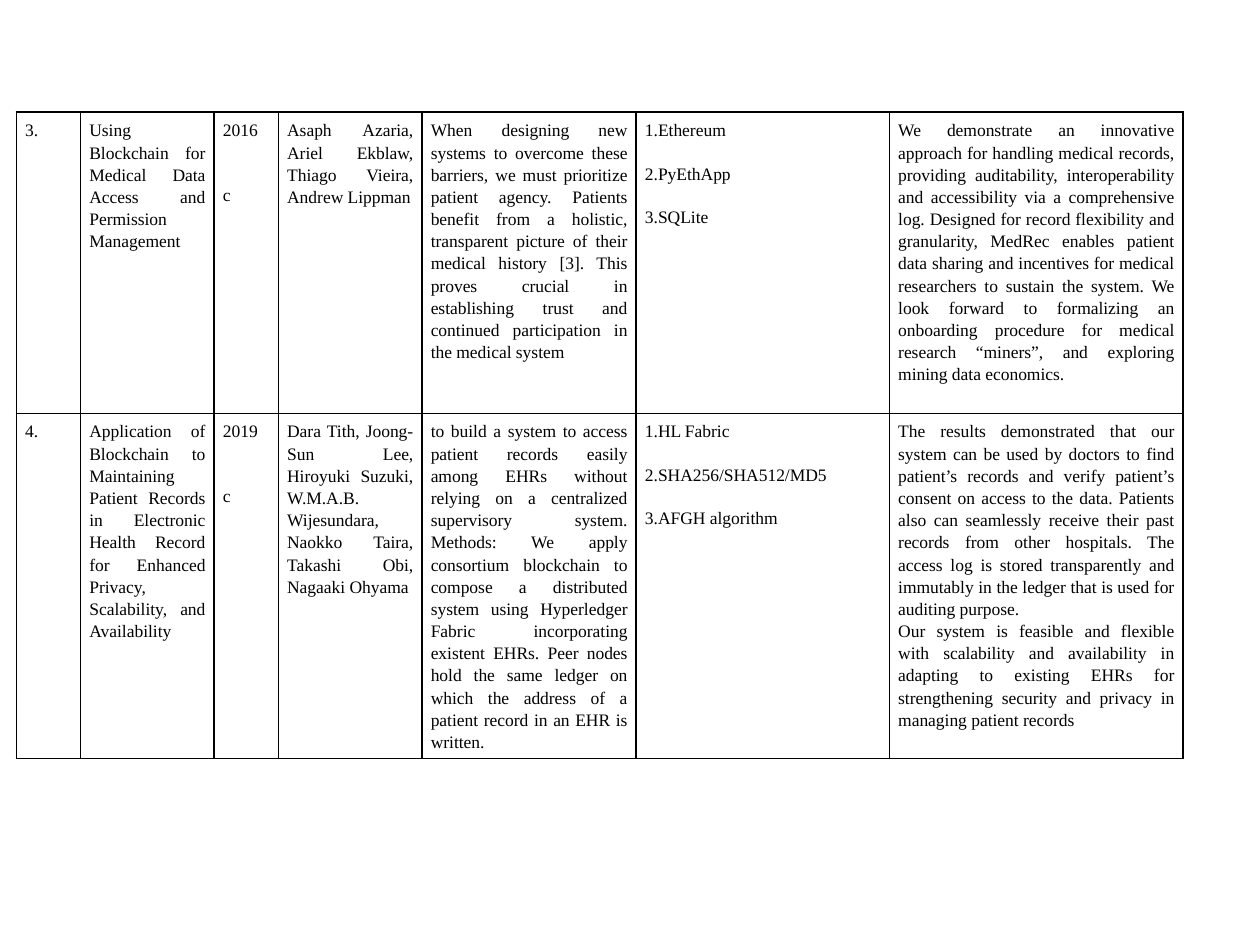
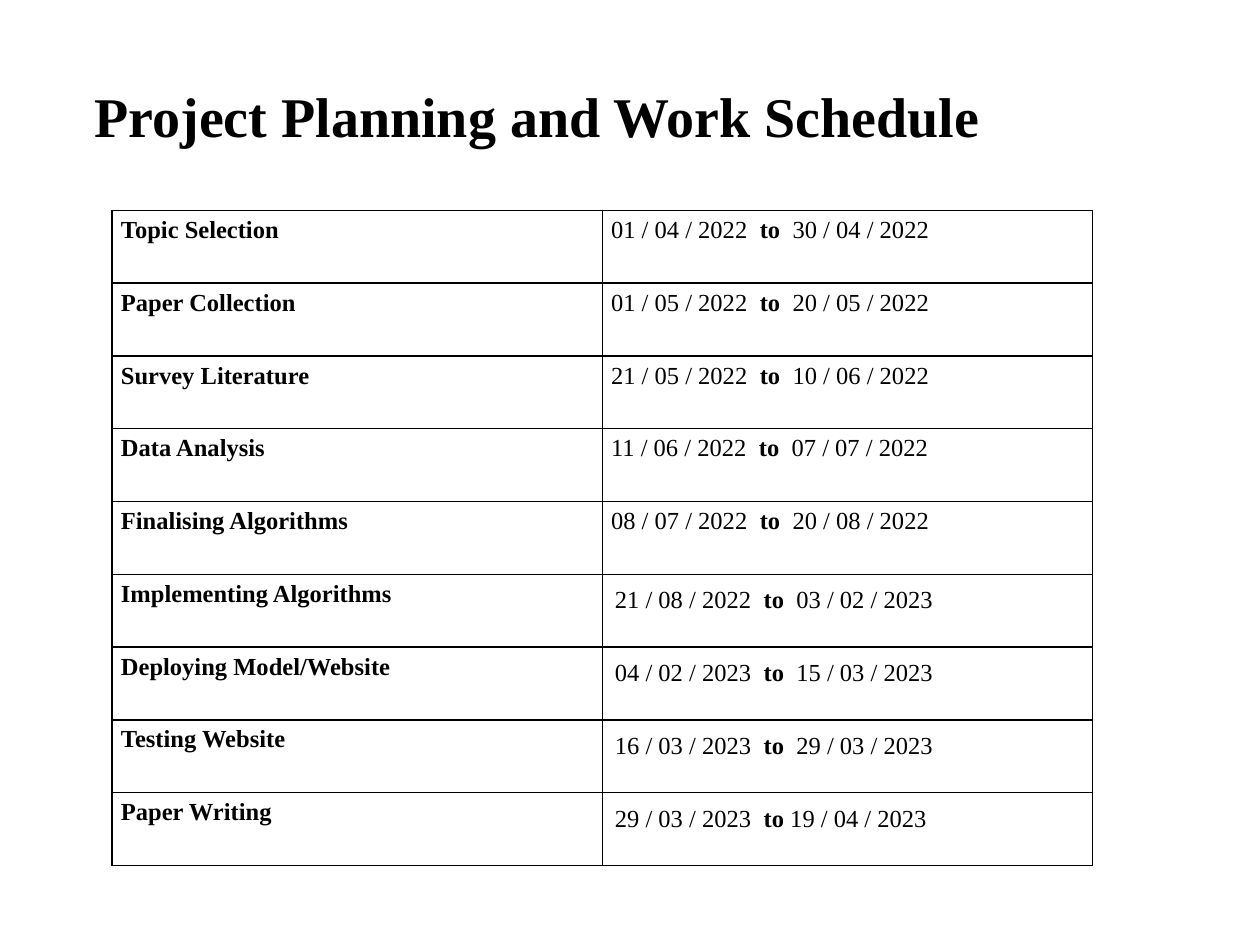
from pptx import Presentation
from pptx.dml.color import RGBColor
from pptx.enum.text import MSO_ANCHOR, PP_ALIGN
from pptx.oxml import parse_xml
from pptx.oxml.ns import nsdecls
from pptx.util import Inches, Pt

FONT = "Times New Roman"
INK = "000000"
PAPER = "FFFFFF"
BORDER_WIDTH = Pt(0.96)
CELL_INSETS = (0.07, 0.05)
WIDE_INSETS = (0.1, 0.1)

SURVEY_BOX = (0.13, 0.89, 9.26, 4.85)
SURVEY_COLUMNS = [0.51, 1.06, 0.51, 1.14, 1.7, 2.01, 2.33]
SURVEY_ROWS = [2.39, 2.46]
SURVEY = [
    [
        ["3."],
        ["Using Blockchain for Medical Data Access and Permission Management"],
        ["2016", "c"],
        ["Asaph Azaria, Ariel Ekblaw, Thiago Vieira, Andrew Lippman"],
        ["When designing new systems to overcome these barriers, we must prioritize "
         "patient agency. Patients benefit from a holistic, transparent picture of "
         "their medical history [3]. This proves crucial in establishing trust and "
         "continued participation in the medical system"],
        ["1.Ethereum", "2.PyEthApp", "3.SQLite"],
        ["We demonstrate an innovative approach for handling medical records, "
         "providing auditability, interoperability and accessibility via a "
         "comprehensive log. Designed for record flexibility and granularity, MedRec "
         "enables patient data sharing and incentives for medical researchers to "
         "sustain the system. We look forward to formalizing an onboarding procedure "
         "for medical research “miners”, and exploring mining data economics."],
    ],
    [
        ["4."],
        ["Application of Blockchain to Maintaining Patient Records in Electronic "
         "Health Record for Enhanced Privacy, Scalability, and Availability"],
        ["2019", "c"],
        ["Dara Tith, Joong-Sun Lee, Hiroyuki Suzuki, W.M.A.B. Wijesundara, "
         "Naokko Taira, Takashi Obi, Nagaaki Ohyama"],
        ["to build a system to access patient records easily among EHRs without "
         "relying on a centralized supervisory system. Methods: We apply consortium "
         "blockchain to compose a distributed system using Hyperledger Fabric "
         "incorporating existent EHRs. Peer nodes hold the same ledger on which the "
         "address of a patient record in an EHR is written."],
        ["1.HL Fabric", "2.SHA256/SHA512/MD5", "3.AFGH algorithm"],
        ["The results demonstrated that our system can be used by doctors to find "
         "patient’s records and verify patient’s consent on access to the data. "
         "Patients also can seamlessly receive their past records from other "
         "hospitals. The access log is stored transparently and immutably in the "
         "ledger that is used for auditing purpose.",
         "Our system is feasible and flexible with scalability and availability in "
         "adapting to existing EHRs for strengthening security and privacy in "
         "managing patient records"],
    ],
]
PARAGRAPH_GAPS = {2: 24, 5: 12}

TITLE_BOX = (0.75, 0.29, 9, 1.25)
SCHEDULE_BOX = (0.89, 1.67, 7.78, 5.2)
SCHEDULE = [
    ("Topic Selection", "01 / 04 / 2022", "  30 / 04 / 2022", CELL_INSETS),
    ("Paper Collection", "01 / 05 / 2022", "  20 / 05 / 2022", CELL_INSETS),
    ("Survey Literature", "21 / 05 / 2022", "  10 / 06 / 2022", CELL_INSETS),
    ("Data Analysis", "11 / 06 / 2022", "  07 / 07 / 2022", CELL_INSETS),
    ("Finalising Algorithms", "08 / 07 / 2022", "  20 / 08 / 2022", CELL_INSETS),
    ("Implementing Algorithms", "21 / 08 / 2022", "  03 / 02 / 2023", WIDE_INSETS),
    ("Deploying Model/Website", "04 / 02 / 2023", "  15 / 03 / 2023", WIDE_INSETS),
    ("Testing Website", "16 / 03 / 2023", "  29 / 03 / 2023", WIDE_INSETS),
    ("Paper Writing", "29 / 03 / 2023", " 19 / 04 / 2023", WIDE_INSETS),
]


def color(value):
    return RGBColor.from_string(value)


def style_span(span, size, bold=False):
    span.font.name = FONT
    span.font.size = Pt(size)
    span.font.bold = bold
    span.font.color.rgb = color(INK)


def add_span(para, text, size, bold=False):
    span = para.add_run()
    span.text = text
    style_span(span, size, bold)


def style_cell(cell, insets=CELL_INSETS):
    side, end = (Inches(inset) for inset in insets)
    cell.margin_left = cell.margin_right = side
    cell.margin_top = cell.margin_bottom = end
    cell.fill.solid()
    cell.fill.fore_color.rgb = color(PAPER)
    properties = cell._tc.get_or_add_tcPr()
    for position, edge in enumerate(("lnL", "lnR", "lnT", "lnB")):
        properties.insert(position, parse_xml(
            f'<a:{edge} {nsdecls("a")} w="{BORDER_WIDTH}"><a:solidFill>'
            f'<a:srgbClr val="{INK}"/></a:solidFill></a:{edge}>'))


def add_grid(page, box, columns, rows):
    frame = page.shapes.add_table(len(rows), len(columns), *map(Inches, box))
    table = frame.table
    table.first_row = False
    table.horz_banding = False
    for column, width in zip(table.columns, columns):
        column.width = Inches(width)
    for row, height in zip(table.rows, rows):
        row.height = Inches(height)
    return table


def add_survey(page, box):
    table = add_grid(page, box, SURVEY_COLUMNS, SURVEY_ROWS)
    for row, entries in enumerate(SURVEY):
        for column, lines in enumerate(entries):
            cell = table.cell(row, column)
            style_cell(cell)
            cell.text_frame.text = "\n".join(lines)
            for index, para in enumerate(cell.text_frame.paragraphs):
                para.alignment = PP_ALIGN.JUSTIFY
                para.line_spacing = 1.15
                if index and column in PARAGRAPH_GAPS:
                    para.space_before = Pt(PARAGRAPH_GAPS[column])
                style_span(para.runs[0], 10)


def add_title(page, box, text):
    frame = page.shapes.add_textbox(*map(Inches, box)).text_frame
    frame.word_wrap = True
    frame.vertical_anchor = MSO_ANCHOR.MIDDLE
    frame.margin_left = frame.margin_right = 0
    frame.margin_top = frame.margin_bottom = 0
    add_span(frame.paragraphs[0], text, 32, bold=True)


def add_schedule(page, box):
    width, height = box[2:]
    row_count = len(SCHEDULE)
    table = add_grid(page, box, [width / 2] * 2, [height / row_count] * row_count)
    for row, (task, start, finish, insets) in enumerate(SCHEDULE):
        task_cell, date_cell = table.cell(row, 0), table.cell(row, 1)
        style_cell(task_cell)
        style_cell(date_cell, insets)
        add_span(task_cell.text_frame.paragraphs[0], task, 14, bold=True)
        dates = date_cell.text_frame.paragraphs[0]
        add_span(dates, start + "  ", 14)
        add_span(dates, "to", 14, bold=True)
        add_span(dates, finish, 14)


def main():
    deck = Presentation()
    deck.slide_width = Inches(10)
    deck.slide_height = Inches(7.5)
    blank = deck.slide_layouts[6]
    add_survey(deck.slides.add_slide(blank), SURVEY_BOX)
    schedule_page = deck.slides.add_slide(blank)
    add_title(schedule_page, TITLE_BOX, "Project Planning and Work Schedule")
    add_schedule(schedule_page, SCHEDULE_BOX)
    deck.save("out.pptx")


if __name__ == "__main__":
    main()
